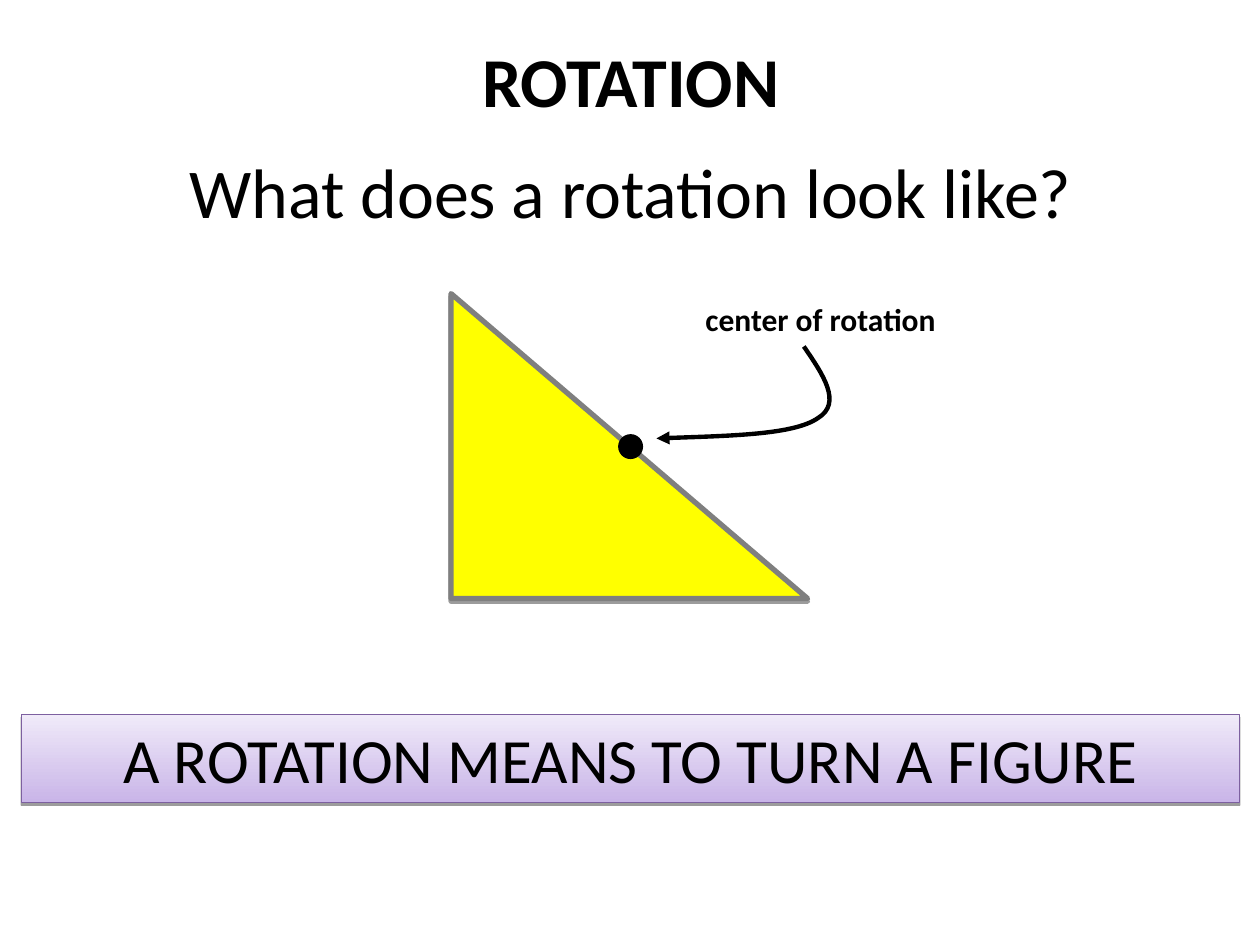
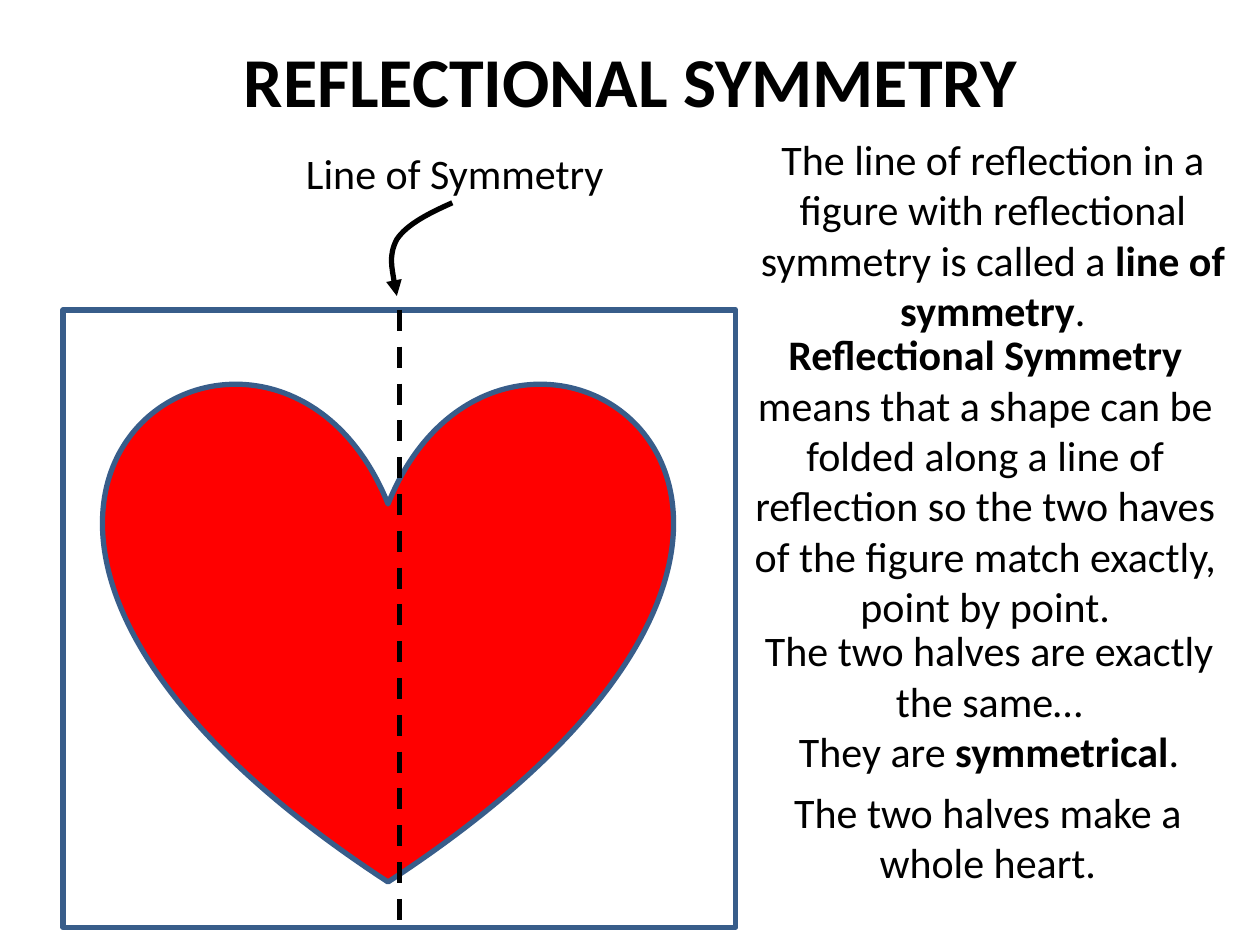
from lxml import etree
from pptx import Presentation
from pptx.dml.color import RGBColor
from pptx.enum.dml import MSO_LINE
from pptx.enum.shapes import MSO_CONNECTOR, MSO_SHAPE
from pptx.enum.text import MSO_ANCHOR, MSO_AUTO_SIZE, PP_ALIGN
from pptx.oxml.ns import qn
from pptx.util import Inches, Pt

CENTER, LEFT = PP_ALIGN.CENTER, PP_ALIGN.LEFT
TOP, NO_FIT = MSO_ANCHOR.TOP, MSO_AUTO_SIZE.NONE
RECT, TRIANGLE = MSO_SHAPE.RECTANGLE, MSO_SHAPE.RIGHT_TRIANGLE
OVAL, HEART = MSO_SHAPE.OVAL, MSO_SHAPE.HEART
STRAIGHT, DASH = MSO_CONNECTOR.STRAIGHT, MSO_LINE.DASH

FONT = "Calibri"
BLACK, GRAY, BLUE, PURPLE = "000000", "7F7F7F", "385D8A", "7D60A0"
YELLOW, RED = "FFFF00", "FF0000"
BAND_DARK, BAND_LIGHT = "C9B5E8", "F0EAF9"
MARGIN, FULL_WIDTH = 0.17, 9.67
TITLE_ONLY = 5


def rgb(value):
    return RGBColor.from_string(value)


def place(sp, left, top, width, height):
    sp.left, sp.top = Inches(left), Inches(top)
    sp.width, sp.height = Inches(width), Inches(height)


def write(sp, paragraphs, size, align=CENTER):
    """Each paragraph is a list of (text, bold) runs."""
    tf = sp.text_frame
    tf.word_wrap = True
    tf.auto_size = NO_FIT
    tf.vertical_anchor = TOP
    for i, runs in enumerate(paragraphs):
        p = tf.add_paragraph() if i else tf.paragraphs[0]
        p.alignment = align
        for text, bold in runs:
            r = p.add_run()
            r.text = text
            r.font.name, r.font.size, r.font.bold = FONT, Pt(size), bold
            r.font.color.rgb = rgb(BLACK)


def add_title_slide(prs, title):
    s = prs.slides.add_slide(prs.slide_layouts[TITLE_ONLY])
    place(s.shapes.title, MARGIN, 0.25, FULL_WIDTH, 0.77)
    write(s.shapes.title, [[(title, True)]], 40)
    return s


def add_text(s, box, paragraphs, size, align=CENTER):
    sp = s.shapes.add_textbox(*map(Inches, box))
    write(sp, paragraphs, size, align)


def set_line(line, color, width):
    line.color.rgb = rgb(color)
    line.width = Pt(width)


def add_shape(s, kind, box, fill, line, width):
    sp = s.shapes.add_shape(kind, *map(Inches, box))
    sp.shadow.inherit = False
    if fill:
        sp.fill.solid()
        sp.fill.fore_color.rgb = rgb(fill)
    else:
        sp.fill.background()
    set_line(sp.line, line, width)
    return sp


def add_shadow(sp):
    effects = sp._element.spPr.find(qn("a:effectLst"))
    shadow = etree.SubElement(effects, qn("a:outerShdw"), blurRad="0",
                              dist=str(Pt(1.6)), dir="5400000", rotWithShape="0")
    color = etree.SubElement(shadow, qn("a:srgbClr"), val=BLACK)
    etree.SubElement(color, qn("a:alpha"), val="38000")


def add_band(s, box, text):
    sp = add_shape(s, RECT, box, BAND_LIGHT, PURPLE, 0.75)
    sp.fill.gradient()
    sp.fill.gradient_angle = 90
    for stop, color in zip(sp.fill.gradient_stops, (BAND_DARK, BAND_LIGHT)):
        stop.color.rgb = rgb(color)
    add_shadow(sp)
    write(sp, [[(text, False)]], 36)


def add_curved_arrow(s, points, width):
    """Points are the start, then three Bezier points for each curve."""
    start, *rest = [(Inches(x), Inches(y)) for x, y in points]
    builder = s.shapes.build_freeform(*start)
    builder.add_line_segments(rest, close=False)
    sp = builder.convert_to_shape()
    sp.shadow.inherit = False
    sp.fill.background()
    set_line(sp.line, BLACK, width)
    etree.SubElement(sp.line._get_or_add_ln(), qn("a:tailEnd"), type="triangle")
    # Group the straight segments by three into Bezier curves
    segments = list(sp._element.iter(qn("a:lnTo")))
    outline = segments[0].getparent()
    for i in range(0, len(segments), 3):
        curve = etree.SubElement(outline, qn("a:cubicBezTo"))
        for segment in segments[i:i + 3]:
            curve.append(segment[0])
            outline.remove(segment)


def add_symmetry_line(s, frame):
    line = s.shapes.add_connector(STRAIGHT, 0, 0, 0, 0)
    line.begin_connect(frame, 0)
    line.end_connect(frame, 2)
    set_line(line.line, BLACK, 3)
    line.line.dash_style = DASH
    etree.SubElement(line._element.spPr, qn("a:effectLst"))


def rotation_slide(prs):
    s = add_title_slide(prs, "ROTATION")
    add_text(s, (MARGIN, 1.13, FULL_WIDTH, 0.77),
             [[("What does a rotation look like?", False)]], 40)
    add_band(s, (MARGIN, 5.67, FULL_WIDTH, 0.7), "A ROTATION MEANS TO TURN A FIGURE")
    # Triangle and its center of rotation
    add_shadow(add_shape(s, TRIANGLE, (3.58, 2.33, 2.83, 2.42), YELLOW, GRAY, 3))
    add_shape(s, OVAL, (4.92, 3.46, 0.17, 0.17), BLACK, BLACK, 2)
    add_text(s, (5.5, 2.33, 2.25, 0.4), [[("center of rotation", True)]], 18, LEFT)
    add_curved_arrow(s, [(6.38, 2.75), (6.53, 2.97), (6.69, 3.2), (6.49, 3.32),
                         (6.3, 3.45), (5.75, 3.46), (5.21, 3.48)], 2.5)


def symmetry_slide(prs):
    s = add_title_slide(prs, "REFLECTIONAL SYMMETRY")
    # Framed heart with its fold line
    frame = add_shape(s, RECT, (0.5, 2.46, 5.34, 4.9), None, BLUE, 3)
    add_shape(s, HEART, (0.83, 3, 4.5, 4), RED, BLUE, 3)
    add_symmetry_line(s, frame)
    # Explanations down the right side
    explanations = [
        (5.84, 1.01, 1.7, [[
            ("The line of reflection in a figure with reflectional symmetry is called a ", False),
            ("line of symmetry", True), (".", False)]]),
        (5.78, 2.56, 2.5, [
            [("Reflectional Symmetry", True)],
            [("means that a shape can be folded along a line of reflection so the two "
              "haves of the figure match exactly, point by point.", False)]]),
        (5.81, 4.91, 1.3, [
            [("The two halves are exactly the same…", False)],
            [("They are ", False), ("symmetrical", True), (".", False)]]),
        (5.8, 6.19, 0.9, [[("The two halves make a whole heart.", False)]]),
    ]
    for left, top, height, paragraphs in explanations:
        add_text(s, (left, top, 4.08, height), paragraphs, 24)
    # Label of the fold line
    add_text(s, (2.33, 1.12, 3.25, 0.5), [[("Line of Symmetry", False)]], 24, LEFT)
    add_curved_arrow(s, [(3.59, 1.61), (3.41, 1.69), (3.23, 1.78), (3.15, 1.9),
                         (3.08, 2.03), (3.14, 2.32), (3.15, 2.35)], 3)


def main():
    prs = Presentation()
    prs.slide_width, prs.slide_height = Inches(10), Inches(7.5)
    rotation_slide(prs)
    symmetry_slide(prs)
    prs.save("out.pptx")


if __name__ == "__main__":
    main()
